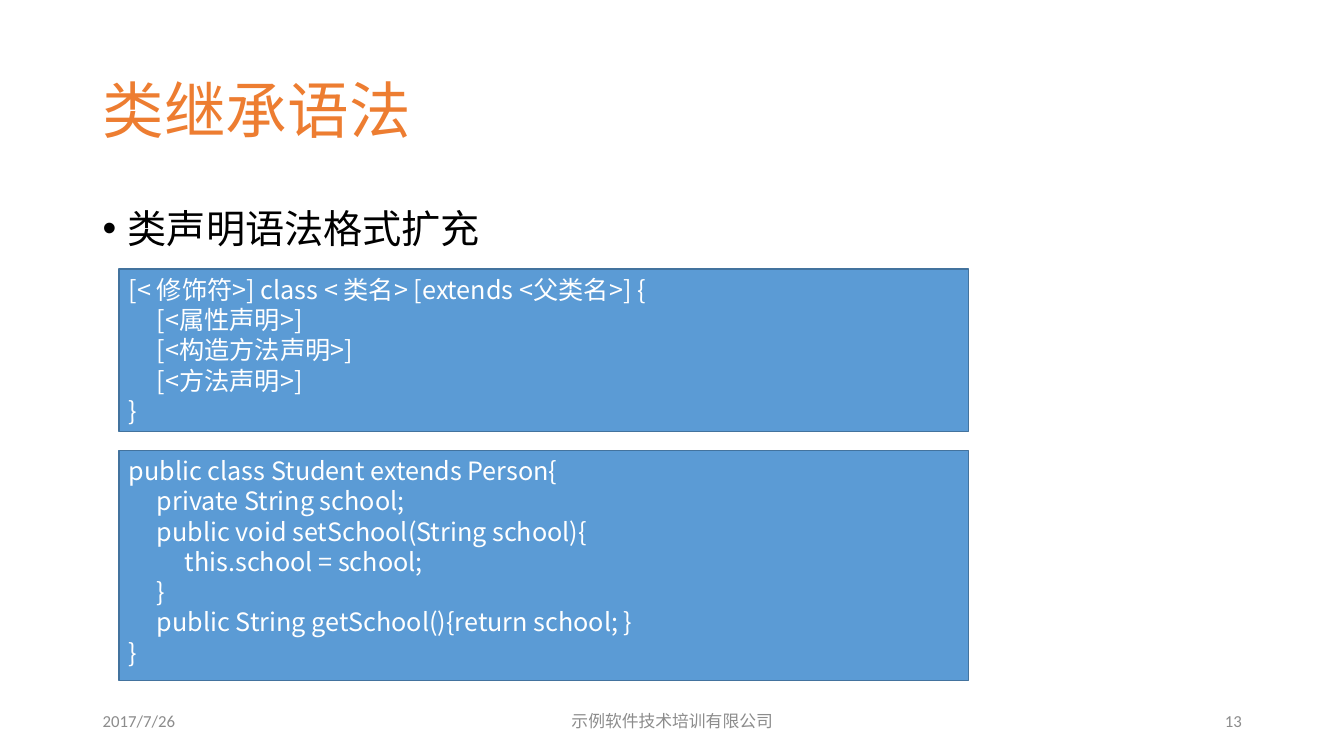
"""Build the slide on Java class inheritance syntax."""
from dataclasses import dataclass
from typing import Optional

from lxml import etree
from pptx import Presentation
from pptx.dml.color import RGBColor
from pptx.enum.shapes import MSO_SHAPE
from pptx.enum.text import MSO_ANCHOR, PP_ALIGN
from pptx.oxml.ns import qn
from pptx.util import Pt


@dataclass(frozen=True)
class Theme:
    cjk: str = "Noto Sans CJK SC"
    latin: str = "Calibri"
    title: str = "ED7D31"
    body: str = "000000"
    footer: str = "8C8C8C"
    code: str = "FFFFFF"
    panel: str = "5B9BD5"
    border: str = "43739E"
    title_size: float = 44
    body_size: float = 28
    code_size: float = 18
    footer_size: float = 12
    code_pitch: float = 21.6
    code_indent: float = 20


@dataclass(frozen=True)
class Box:
    left: float
    top: float
    width: float
    height: float

    def lengths(self) -> tuple:
        return tuple(Pt(v) for v in (self.left, self.top, self.width, self.height))


@dataclass(frozen=True)
class Label:
    text: str
    box: Box
    size: float
    color: str
    font: str
    align: PP_ALIGN = PP_ALIGN.LEFT
    anchor: MSO_ANCHOR = MSO_ANCHOR.MIDDLE
    spacing: Optional[float] = None
    bullet_indent: float = 0


@dataclass(frozen=True)
class CodePanel:
    box: Box
    lines: tuple


THEME = Theme()
MARGIN = 66.24
PANEL_LEFT, PANEL_WIDTH = 84.96, 606.96
FOOTER_TOP, FOOTER_HEIGHT = 500.4, 28.8

LABELS = (
    Label("类继承语法", Box(MARGIN, 28.8, 625.68, 104.4), THEME.title_size,
          THEME.title, THEME.cjk, spacing=0.9),
    Label("类声明语法格式扩充", Box(MARGIN, 144, 828, 342.72), THEME.body_size,
          THEME.body, THEME.cjk, anchor=MSO_ANCHOR.TOP, spacing=Pt(32),
          bullet_indent=18),
    Label("2017/7/26", Box(MARGIN, FOOTER_TOP, 216, FOOTER_HEIGHT),
          THEME.footer_size, THEME.footer, THEME.latin),
    Label("示例软件技术培训有限公司", Box(318.24, FOOTER_TOP, 324, FOOTER_HEIGHT),
          THEME.footer_size, THEME.footer, THEME.cjk, PP_ALIGN.CENTER),
    Label("13", Box(678.24, FOOTER_TOP, 216, FOOTER_HEIGHT),
          THEME.footer_size, THEME.footer, THEME.latin, PP_ALIGN.RIGHT),
)

PANELS = (
    CodePanel(Box(PANEL_LEFT, 192.24, PANEL_WIDTH, 115.92), (
        (0, "[< 修饰符>] class < 类名> [extends <父类名>] {"),
        (1, "[<属性声明>]"),
        (1, "[<构造方法声明>]"),
        (1, "[<方法声明>]"),
        (0, "}"),
    )),
    CodePanel(Box(PANEL_LEFT, 321.84, PANEL_WIDTH, 164.16), (
        (0, "public class Student extends Person{"),
        (1, "private String school;"),
        (1, "public void setSchool(String school){"),
        (2, "this.school = school;"),
        (1, "}"),
        (1, "public String getSchool(){return school; }"),
        (0, "}"),
    )),
)


def add_text(paragraph, text: str, size: float, color: str, font: str) -> None:
    run = paragraph.add_run()
    run.text = text
    run.font.size = Pt(size)
    run.font.name = font
    run.font.color.rgb = RGBColor.from_string(color)
    east_asian = etree.SubElement(run.font._element, qn("a:ea"))
    east_asian.set("typeface", font)


def set_indent(paragraph, left: float, first: float = 0) -> None:
    properties = paragraph._p.get_or_add_pPr()
    properties.set("marL", str(Pt(left)))
    properties.set("indent", str(Pt(first)))


def draw_label(slide, label: Label) -> None:
    frame = slide.shapes.add_textbox(*label.box.lengths()).text_frame
    frame.word_wrap = True
    frame.vertical_anchor = label.anchor
    paragraph = frame.paragraphs[0]
    paragraph.alignment = label.align
    if label.spacing is not None:
        paragraph.line_spacing = label.spacing
    if label.bullet_indent:
        set_indent(paragraph, label.bullet_indent, -label.bullet_indent)
        properties = paragraph._p.get_or_add_pPr()
        etree.SubElement(properties, qn("a:buFont")).set("typeface", "Arial")
        etree.SubElement(properties, qn("a:buChar")).set("char", "•")
    add_text(paragraph, label.text, label.size, label.color, label.font)


def draw_panel(slide, panel: CodePanel) -> None:
    shape = slide.shapes.add_shape(MSO_SHAPE.RECTANGLE, *panel.box.lengths())
    shape.shadow.inherit = False
    shape.fill.solid()
    shape.fill.fore_color.rgb = RGBColor.from_string(THEME.panel)
    shape.line.color.rgb = RGBColor.from_string(THEME.border)
    shape.line.width = Pt(1)
    frame = shape.text_frame
    frame.word_wrap = True
    frame.vertical_anchor = MSO_ANCHOR.TOP
    for index, (level, text) in enumerate(panel.lines):
        paragraph = frame.add_paragraph() if index else frame.paragraphs[0]
        paragraph.alignment = PP_ALIGN.JUSTIFY
        paragraph.line_spacing = Pt(THEME.code_pitch)
        set_indent(paragraph, level * THEME.code_indent)
        add_text(paragraph, text, THEME.code_size, THEME.code, THEME.cjk)


def main() -> None:
    presentation = Presentation()
    presentation.slide_width, presentation.slide_height = Pt(960), Pt(540)
    slide = presentation.slides.add_slide(presentation.slide_layouts[6])
    for label in LABELS:
        draw_label(slide, label)
    for panel in PANELS:
        draw_panel(slide, panel)
    presentation.save("out.pptx")


main()
